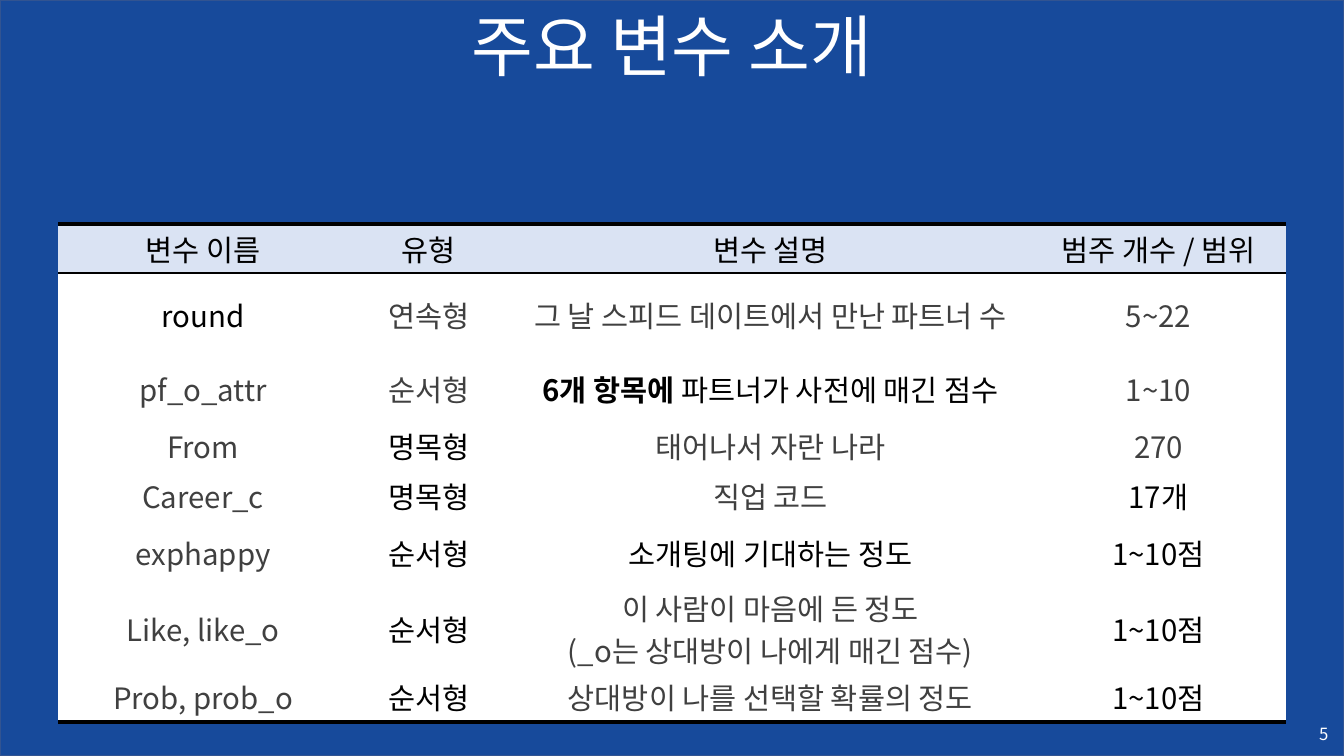
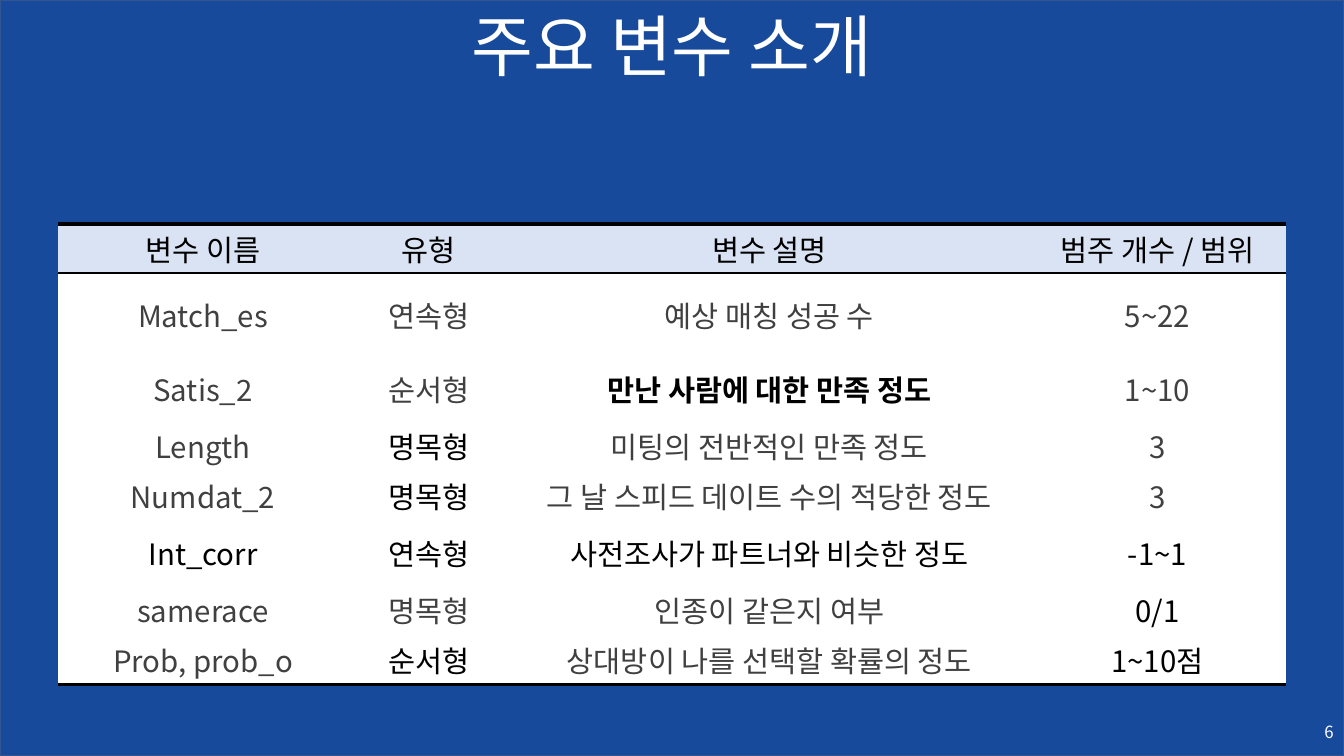
from lxml.etree import SubElement
from pptx import Presentation
from pptx.dml.color import RGBColor
from pptx.enum.shapes import MSO_SHAPE
from pptx.enum.text import MSO_ANCHOR, PP_ALIGN
from pptx.oxml import parse_xml
from pptx.oxml.ns import nsdecls, qn
from pptx.util import Cm, Pt

FONT = "Noto Sans CJK KR"
HUES = {"back": "174A9B", "edge": "325491", "head": "DAE3F3",
        "white": "FFFFFF", "black": "000000", "gray": "404040"}
NO_GRID = "{2D5ABB26-0587-4C30-8999-92F81FD0307C}"
WIDE, HIGH = Cm(33.87), Cm(19.05)
ROWS = [1.24, 2.08, 1.65, 1.24, 1.24, 1.65, 1.24, 1.27]
TWO_LINES = 2.18
HEAD = ("kkkk", "변수 이름", "유형", "변수 설명", "범주 개수 / 범위")
LAST = ("gkgk", "Prob, prob_o", "순서형", "상대방이 나를 선택할 확률의 정도", "1~10점")

# Each row starts with its text colours (k black, g gray); stars enclose bold.
PAGES = [
    {"page": "5", "spot": (26.11, 17.98), "cols": [7.29, 4.09, 13.13, 6.43],
     "rows": [
         HEAD,
         ("kggg", "round", "연속형", "그 날 스피드 데이트에서 만난 파트너 수", "5~22"),
         ("ggkg", "pf_o_attr", "순서형",
          "*6개 항목에 *파트너가 사전에 매긴 점수", "1~10"),
         ("gkgg", "From", "명목형", "태어나서 자란 나라", "270"),
         ("gkgk", "Career_c", "명목형", "직업 코드", "17개"),
         ("gkkk", "exphappy", "순서형", "소개팅에 기대하는 정도", "1~10점"),
         ("gkgk", "Like, like_o", "순서형",
          "이 사람이 마음에 든 정도\n(_o는 상대방이 나에게 매긴 점수)", "1~10점"),
         LAST]},
    {"page": "6", "spot": (26.24, 17.93), "cols": [7.29, 4.09, 13.08, 6.48],
     "rows": [
         HEAD,
         ("gggg", "Match_es", "연속형", "예상 매칭 성공 수", "5~22"),
         ("ggkg", "Satis_2", "순서형", "*만난 사람에 대한 만족 정도*", "1~10"),
         ("gkgg", "Length", "명목형", "미팅의 전반적인 만족 정도", "3"),
         ("gkgg", "Numdat_2", "명목형", "그 날 스피드 데이트 수의 적당한 정도", "3"),
         ("kkkk", "Int_corr", "연속형", "사전조사가 파트너와 비슷한 정도", "-1~1"),
         ("gggk", "samerace", "명목형", "인종이 같은지 여부", "0/1"),
         LAST]},
]


def write(frame, text, size, hue, align=PP_ALIGN.CENTER):
    """Fill a text frame, one paragraph a line, and return the last one."""
    for i, line in enumerate(text.split("\n")):
        para = frame.add_paragraph() if i else frame.paragraphs[0]
        para.alignment = align
        font = para.font
        font.name, font.size = FONT, Pt(size)
        font.color.rgb = RGBColor.from_string(HUES[hue])
        font._element.set("kern", "0")
        SubElement(font._element, qn("a:ea")).set("typeface", FONT)
        for j, part in enumerate(line.split("*")):
            if part:
                run = para.add_run()
                run.text = part
                if j % 2:
                    run.font.bold = True
    return para


def rule(cell, top, bottom):
    """Set all four cell borders; a width of 0 draws none."""
    sides = {"lnL": 0, "lnR": 0, "lnT": top, "lnB": bottom}
    for i, (side, width) in enumerate(sides.items()):
        fill = (f'<a:solidFill><a:srgbClr val="{HUES["black"]}"/></a:solidFill>'
                if width else "<a:noFill/>")
        cell._tc.get_or_add_tcPr().insert(i, parse_xml(
            f'<a:{side} {nsdecls("a")} w="{Pt(width)}">{fill}</a:{side}>'))


deck = Presentation()
deck.slide_width, deck.slide_height = WIDE, HIGH

for page in PAGES:
    slide = deck.slides.add_slide(deck.slide_layouts[6])
    shapes = slide.shapes

    back = shapes.add_shape(MSO_SHAPE.RECTANGLE, 0, 0, WIDE, HIGH)
    back.shadow.inherit = False
    back.fill.solid()
    back.fill.fore_color.rgb = RGBColor.from_string(HUES["back"])
    back.line.color.rgb = RGBColor.from_string(HUES["edge"])
    back.line.width = Pt(1)

    title = shapes.add_textbox(0, Cm(0.2), WIDE, Cm(2.13)).text_frame
    title.word_wrap = True
    title.vertical_anchor = MSO_ANCHOR.MIDDLE
    para = write(title, "주요 변수 소개", 48, "white")
    para.line_spacing, para.space_before = 0.9, Pt(10)

    left, top = page["spot"]
    foot = shapes.add_textbox(Cm(left), Cm(top), Cm(7.62), Cm(1.02)).text_frame
    foot.word_wrap = True
    foot.vertical_anchor = MSO_ANCHOR.MIDDLE
    write(foot, page["page"], 12, "white", PP_ALIGN.RIGHT)

    cols = page["cols"]
    highs = [TWO_LINES if "\n" in "".join(row) else high
             for row, high in zip(page["rows"], ROWS)]
    table = shapes.add_table(len(highs), len(cols), Cm(1.47), Cm(5.64),
                             Cm(sum(cols)), Cm(sum(highs))).table
    table.first_row = table.horz_banding = False
    table._tbl.tblPr[0].text = NO_GRID
    for col, width in zip(table.columns, cols):
        col.width = Cm(width)
    edges = [3, 1] + [0] * (len(highs) - 2) + [3]
    for r, (tones, *texts) in enumerate(page["rows"]):
        table.rows[r].height = Cm(highs[r])
        for c, (tone, text) in enumerate(zip(tones, texts)):
            cell = table.cell(r, c)
            cell.margin_left = cell.margin_right = cell.margin_top = Cm(0.02)
            cell.margin_bottom = 0
            cell.vertical_anchor = MSO_ANCHOR.MIDDLE
            cell.fill.solid()
            cell.fill.fore_color.rgb = RGBColor.from_string(
                HUES["white" if r else "head"])
            write(cell.text_frame, text, 21, "black" if tone == "k" else "gray")
            rule(cell, edges[r], edges[r + 1])

deck.save("out.pptx")
